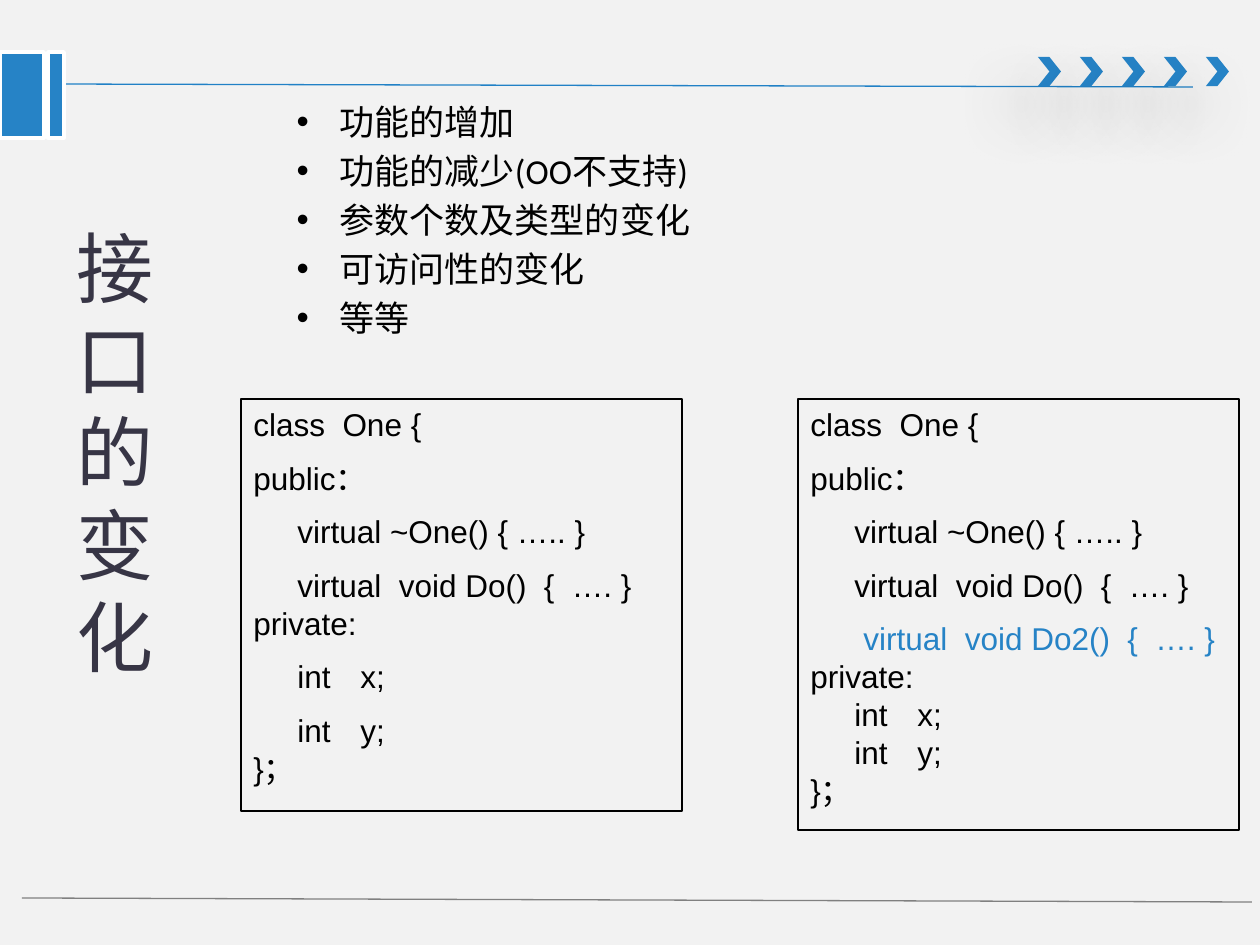
from lxml.etree import SubElement as Sub
from pptx import Presentation
from pptx.dml.color import RGBColor
from pptx.enum.shapes import MSO_CONNECTOR as Link, MSO_SHAPE as Kind
from pptx.enum.text import MSO_ANCHOR as Anchor, MSO_AUTO_SIZE as Fit, PP_ALIGN as Align
from pptx.oxml.ns import qn
from pptx.util import Emu, Pt

BLUE, BLACK, WHITE = "2683C6", "000000", "FFFFFF"
STEP, TAB = 44, 112


def px(num):
    """Turn pixels into EMU."""
    return Emu(round(num * 914400 / 126))


def paint(part, color):
    """Set a fill, line or font part to a hex colour."""
    if hasattr(part, "solid"):
        part.solid()
        part.fore_color.rgb = RGBColor.from_string(color)
    else:
        part.color.rgb = RGBColor.from_string(color)


def write(para, text, size=18, font="Arial", color=BLACK, align=Align.LEFT,
          left=0, hang=0, tab=0, gap=None):
    """Write text into a paragraph with its format."""
    run = para.add_run()
    run.text = text
    run.font.size, run.font.name = Pt(size), font
    paint(run.font, color)
    para.alignment = align
    if gap is not None:
        para.space_before = Pt(gap)
    prop = para._p.get_or_add_pPr()
    prop.set("marL", str(px(left)))
    prop.set("indent", str(px(-hang)))
    if tab:
        stops = Sub(prop, qn("a:tabLst"))
        Sub(stops, qn("a:tab"), pos=str(px(tab)), algn="l")


def place(shape, box):
    """Move a shape to a pixel box."""
    shape.left, shape.top, shape.width, shape.height = map(px, box)


def block(slide, kind, box, fill=None, line=None, width=0.75):
    """Add a plain preset shape."""
    shape = slide.shapes.add_shape(kind, *map(px, box))
    shape.shadow.inherit = False
    if fill:
        paint(shape.fill, fill)
    else:
        shape.fill.background()
    if line:
        paint(shape.line, line)
        shape.line.width = Pt(width)
    else:
        shape.line.fill.background()
    return shape


def rule(slide, start, end, color):
    """Add a thin line between two points."""
    line = slide.shapes.add_connector(Link.STRAIGHT, *map(px, start + end))
    paint(line.line, color)
    line.line.width = Pt(0.75)
    Sub(line._element.spPr, qn("a:effectLst"))


def shade(shape):
    """Give a shape a soft drop shadow."""
    effect = shape._element.spPr.find(qn("a:effectLst"))
    outer = Sub(effect, qn("a:outerShdw"), blurRad=str(Pt(36)), dist=str(Pt(24)),
                dir=str(130 * 60000), rotWithShape="0")
    tone = Sub(outer, qn("a:srgbClr"), val=BLACK)
    Sub(tone, qn("a:alpha"), val="38000")


def header(slide, box):
    """Draw the blue tabs, rule and chevrons along the top."""
    left, top, width, high = box
    rule(slide, (left + 50, top + 32), (left + 1193, top + 35), "2181C6")
    for num in range(5):
        shade(block(slide, Kind.CHEVRON,
                    (left + width - 222 + 42 * num, top + 5, 23, 29), BLUE))
    for start, wide in ((0, 44), (48, 16)):
        block(slide, Kind.RECTANGLE, (left + start, top, wide, high), BLUE, WHITE, 2)


def title(slide, box, text):
    """Stack the title down a narrow column."""
    shape = slide.shapes.title
    place(shape, box)
    frame = shape.text_frame
    frame.word_wrap, frame.auto_size = True, Fit.NONE
    frame.vertical_anchor = Anchor.MIDDLE
    write(frame.paragraphs[0], text, size=44, color="373545", align=Align.CENTER)


def points(slide, box, items):
    """Fill the body with bulleted items."""
    shape = slide.placeholders[1]
    place(shape, box)
    frame = shape.text_frame
    frame.auto_size = Fit.NONE
    for num, item in enumerate(items):
        para = frame.add_paragraph() if num else frame.paragraphs[0]
        write(para, item, size=20, font="Calibri", left=43, hang=43)


def code(slide, box, rows):
    """Draw a framed listing from rows of text and format."""
    shape = block(slide, Kind.RECTANGLE, box, line=BLACK)
    frame = shape.text_frame
    frame.word_wrap, frame.vertical_anchor = True, Anchor.TOP
    for num, (text, form) in enumerate(rows):
        para = frame.add_paragraph() if num else frame.paragraphs[0]
        write(para, text, **form)


def main():
    """Build the slide and save it."""
    deck = Presentation()
    deck.slide_width, deck.slide_height = px(1260), px(945)
    slide = deck.slides.add_slide(deck.slide_layouts[1])
    paint(slide.background.fill, "F2F2F2")

    header(slide, (0, 52, 1260, 86))
    rule(slide, (22, 898), (1252, 902), "808080")
    title(slide, (42, 73, 147, 756), "接口的变化")
    points(slide, (284, 94, 976, 262),
           ["功能的增加", "功能的减少(OO不支持)", "参数个数及类型的变化",
            "可访问性的变化", "等等"])

    flush, loose = dict(gap=0), dict(gap=9)
    deep = dict(left=STEP, gap=9)
    field, tight = dict(deep, tab=TAB), dict(left=STEP, tab=TAB, gap=0)
    head = [("class  One {", flush), ("public：", loose),
            ("virtual ~One() { ….. }", deep), ("virtual  void Do()  {  …. }", deep)]
    extra = [("virtual  void Do2()  {  …. }", dict(left=53, gap=9, color=BLUE))]

    def tail(form):
        """List the private part with one format for its fields."""
        return [("private:", flush), ("int\tx;", form), ("int\ty;", form), ("}；", flush)]

    code(slide, (241, 399, 441, 412), head + tail(field))
    code(slide, (798, 399, 441, 431), head + extra + tail(tight))
    deck.save("out.pptx")


if __name__ == "__main__":
    main()
